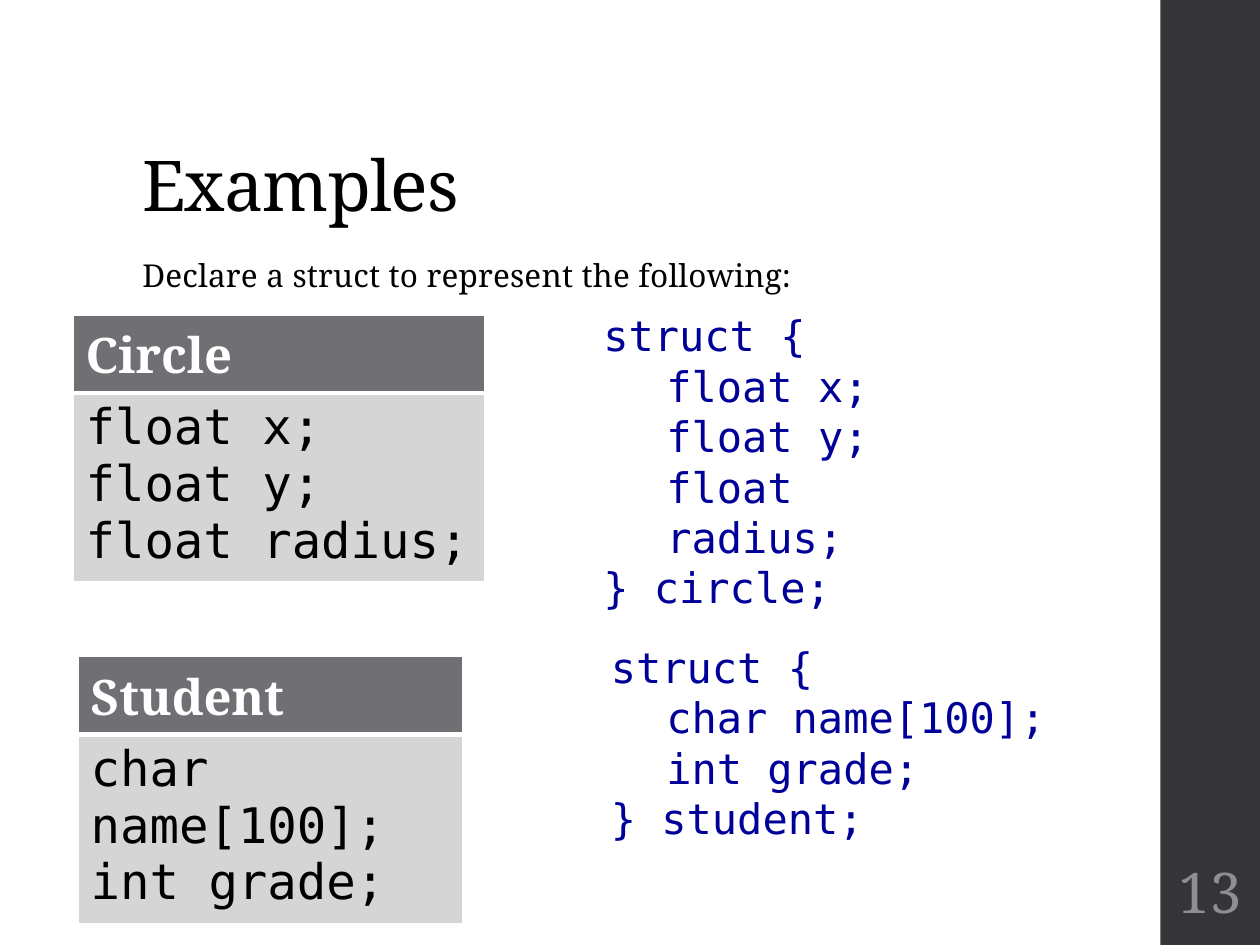
from dataclasses import dataclass

from lxml.etree import SubElement
from pptx import Presentation
from pptx.dml.color import RGBColor
from pptx.enum.shapes import MSO_SHAPE
from pptx.enum.text import MSO_ANCHOR as Anchor, MSO_AUTO_SIZE as AutoSize, PP_ALIGN as Align
from pptx.oxml.ns import qn
from pptx.util import Inches, Pt

WHITE = RGBColor(0xFF, 0xFF, 0xFF)
BLACK = RGBColor(0, 0, 0)
NAVY = RGBColor(0, 0, 0x99)
SIDEBAR = RGBColor(0x35, 0x35, 0x37)
HEADER = RGBColor(0x6F, 0x6F, 0x74)
PANEL = RGBColor(0xD5, 0xD5, 0xD6)
NUMBER = RGBColor(0x8E, 0x8E, 0x94)
SERIF = "Noto Serif"
MONO = "DejaVu Sans Mono"


@dataclass(frozen=True)
class Style:
    font: str
    size: float
    color: RGBColor
    bold: bool = False
    spacing: int = 0


@dataclass(frozen=True)
class Members:
    heading: str
    fields: tuple[str, ...]
    left: float
    top: float
    width: float


@dataclass(frozen=True)
class Declaration:
    fields: tuple[str, ...]
    name: str
    left: float
    top: float
    width: float
    height: float
    indent: float
    tabbed: bool


TITLE = Style(SERIF, 40, BLACK, spacing=-50)
PROMPT = Style(SERIF, 18, BLACK, spacing=10)
PAGE = Style(SERIF, 32, NUMBER)
HEADING = Style(SERIF, 28, WHITE, bold=True)
FIELD = Style(MONO, 28, BLACK)
CODE = Style(MONO, 24, NAVY)

CIRCLE = ("float x;", "float y;", "float radius;")
STUDENT = ("char name[100];", "int grade;")
MEMBERS = (
    Members("Circle", CIRCLE, 0.58, 2.5, 3.27),
    Members("Student", STUDENT, 0.62, 5.21, 3.05),
)
DECLARATIONS = (
    Declaration(CIRCLE, "circle", 4.69, 2.41, 3.21, 2.12, 0.5, False),
    Declaration(STUDENT, "student", 4.75, 5.04, 4.17, 1.72, 0.44, True),
)


def add_run(paragraph, text: str, style: Style) -> None:
    run = paragraph.add_run()
    run.text = text
    run.font.name = style.font
    run.font.size = Pt(style.size)
    run.font.bold = style.bold
    run.font.color.rgb = style.color
    if style.spacing:
        run.font._element.set("spc", str(style.spacing))


def write_lines(frame, lines: tuple[str, ...], style: Style) -> list:
    paragraphs = []
    for index, line in enumerate(lines):
        paragraph = frame.add_paragraph() if index else frame.paragraphs[0]
        add_run(paragraph, line, style)
        paragraphs.append(paragraph)
    return paragraphs


def place(shape, left: float, top: float, width: float, height: float) -> None:
    shape.left, shape.top = Inches(left), Inches(top)
    shape.width, shape.height = Inches(width), Inches(height)


def fill_placeholder(placeholder, text: str, style: Style, anchor: Anchor, line_spacing: float):
    frame = placeholder.text_frame
    frame.auto_size = AutoSize.NONE
    frame.word_wrap = True
    frame.vertical_anchor = anchor
    paragraph = write_lines(frame, (text,), style)[0]
    paragraph.alignment = Align.LEFT
    paragraph.line_spacing = line_spacing
    return paragraph


def set_borders(cell, bottom: float) -> None:
    properties = cell._tc.get_or_add_tcPr()
    for side, width in (("L", 1), ("R", 1), ("T", 1), ("B", bottom)):
        line = SubElement(properties, qn(f"a:ln{side}"), w=str(Pt(width)))
        fill = SubElement(line, qn("a:solidFill"))
        SubElement(fill, qn("a:srgbClr"), val=str(WHITE))


def add_members(slide, members: Members) -> None:
    table = slide.shapes.add_table(
        2, 1, Inches(members.left), Inches(members.top), Inches(members.width), Inches(2.07)
    ).table
    rows = (
        (0.62, (members.heading,), HEADING, HEADER, 3),
        (1.45, members.fields, FIELD, PANEL, 1),
    )
    for index, (height, lines, style, color, bottom) in enumerate(rows):
        table.rows[index].height = Inches(height)
        cell = table.cell(index, 0)
        write_lines(cell.text_frame, lines, style)
        set_borders(cell, bottom)
        cell.fill.solid()
        cell.fill.fore_color.rgb = color


def add_declaration(slide, declaration: Declaration) -> None:
    box = slide.shapes.add_textbox(
        Inches(declaration.left), Inches(declaration.top),
        Inches(declaration.width), Inches(declaration.height),
    )
    frame = box.text_frame
    frame.word_wrap = True
    frame.auto_size = AutoSize.SHAPE_TO_FIT_TEXT
    prefix = "\t" if declaration.tabbed else ""
    body = tuple(prefix + field for field in declaration.fields)
    lines = ("struct {", *body, f"}} {declaration.name};")
    for paragraph in write_lines(frame, lines, CODE)[1:-1]:
        properties = paragraph._p.get_or_add_pPr()
        indent = str(Inches(declaration.indent))
        if declaration.tabbed:
            tabs = SubElement(properties, qn("a:tabLst"))
            SubElement(tabs, qn("a:tab"), pos=indent, algn="l")
        else:
            paragraph.level = 1
            properties.set("marL", indent)
            properties.set("indent", "0")


presentation = Presentation()
presentation.slide_width, presentation.slide_height = Inches(10), Inches(7.5)
slide = presentation.slides.add_slide(presentation.slide_layouts[1])

title = slide.shapes.title
place(title, 1.03, 0.4, 7.95, 1.45)
fill_placeholder(title, "Examples", TITLE, Anchor.BOTTOM, 0.9)

prompt = slide.placeholders[1]
place(prompt, 1.03, 2, 7.05, 4.76)
prompt_line = fill_placeholder(
    prompt, "Declare a struct to represent the following:", PROMPT, Anchor.TOP, 0.95
)
prompt_line.space_before, prompt_line.space_after = Pt(14), Pt(2)
prompt_properties = prompt_line._p.get_or_add_pPr()
prompt_properties.set("marL", "0")
prompt_properties.set("indent", "0")
SubElement(prompt_properties, qn("a:buNone"))

sidebar = slide.shapes.add_shape(
    MSO_SHAPE.RECTANGLE, Inches(9.21), 0, Inches(0.79), Inches(7.5)
)
sidebar.shadow.inherit = False
sidebar.fill.solid()
sidebar.fill.fore_color.rgb = SIDEBAR
sidebar.line.fill.background()

page_number = slide.shapes.add_textbox(Inches(9.23), Inches(6.75), Inches(0.75), Inches(0.65))
page_frame = page_number.text_frame
page_frame.word_wrap = True
page_frame.vertical_anchor = Anchor.MIDDLE
page_frame.margin_left = page_frame.margin_right = Inches(0.03)
write_lines(page_frame, ("13",), PAGE)[0].alignment = Align.CENTER

for members in MEMBERS:
    add_members(slide, members)
for declaration in DECLARATIONS:
    add_declaration(slide, declaration)

presentation.save("out.pptx")
